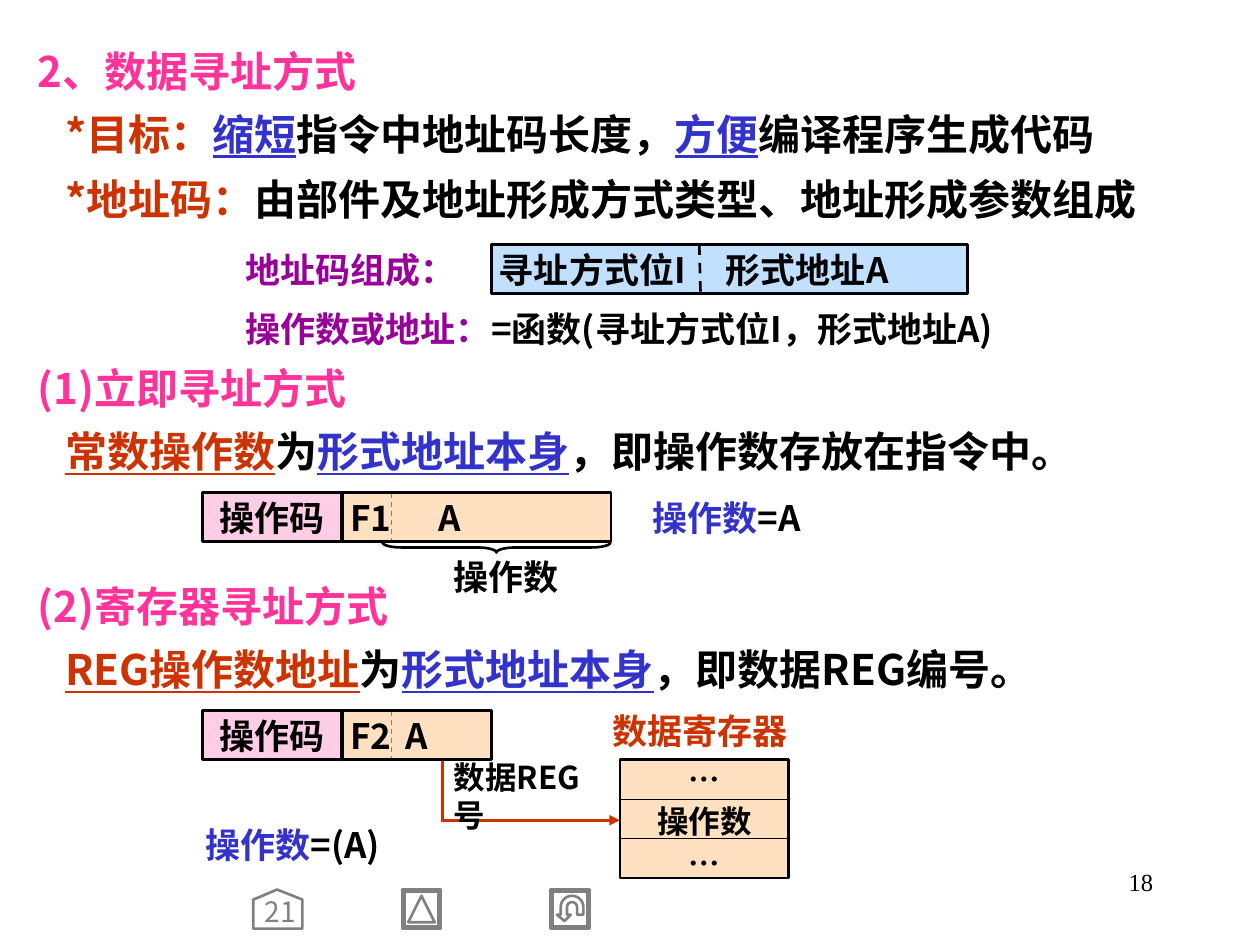
from dataclasses import dataclass
from math import cos, pi, sin

from lxml.etree import SubElement
from pptx import Presentation
from pptx.dml.color import RGBColor
from pptx.enum.dml import MSO_LINE
from pptx.enum.shapes import MSO_CONNECTOR, MSO_SHAPE as Preset
from pptx.enum.text import MSO_ANCHOR as Anchor, PP_ALIGN as Align
from pptx.oxml.ns import qn
from pptx.util import Inches, Pt


@dataclass(frozen=True)
class Theme:
    font: str = "Noto Sans CJK SC"
    number_font: str = "Times New Roman"
    black: str = "000000"
    heading: str = "FF3399"
    accent: str = "CC3300"
    key: str = "3333CC"
    label: str = "990099"
    icon: str = "808080"
    opcode: str = "FF99CC"
    operand: str = "FFCC99"
    address: str = "99CCFF"
    body: int = 24
    diagram: int = 20
    small: int = 18
    home: int = 16
    number: int = 14
    thick: float = 1.5
    thin: float = 0.75


THEME = Theme()
BODY_INSETS = (0.1, 0.05, 0.1, 0.05)
TIGHT_INSETS = (0.02, 0.01, 0.02, 0.01)
FIELD_INSETS = (0.06, 0.01, 0.02, 0.01)
ROW_HEIGHT = 0.39


def lengths(*values):
    return [Inches(value) for value in values]


def write_text(shape, paragraphs, size=THEME.diagram, color=THEME.black, bold=True,
               font=THEME.font, align=Align.LEFT, anchor=Anchor.MIDDLE,
               insets=TIGHT_INSETS, spacing=1.0, indents=(), tab=None):
    frame = shape.text_frame
    frame.word_wrap = True
    frame.vertical_anchor = anchor
    (frame.margin_left, frame.margin_top,
     frame.margin_right, frame.margin_bottom) = lengths(*insets)
    for index, runs in enumerate(paragraphs):
        paragraph = frame.add_paragraph() if index else frame.paragraphs[0]
        paragraph.alignment = align
        paragraph.line_spacing = spacing
        properties = paragraph._p.get_or_add_pPr()
        if indents:
            properties.set("marL", str(Inches(indents[index])))
            properties.set("indent", "0")
        if tab:
            stops = SubElement(properties, qn("a:tabLst"))
            SubElement(stops, qn("a:tab"), pos=str(Inches(tab)), algn="l")
        for text, *style in [(runs,)] if isinstance(runs, str) else runs:
            run = paragraph.add_run()
            run.text = text
            run.font.name = font
            run.font.size = Pt(size)
            run.font.bold = bold
            run.font.underline = len(style) > 1
            run.font.color.rgb = RGBColor.from_string(style[0] if style else color)
            SubElement(run._r.get_or_add_rPr(), qn("a:ea"), typeface=font)


def add_label(slide, box, paragraphs, **text_format):
    write_text(slide.shapes.add_textbox(*lengths(*box)), paragraphs, **text_format)


def add_body(slide, top, height, paragraphs, indents):
    add_label(slide, (0.2, top, 9.61, height), paragraphs, size=THEME.body,
              anchor=Anchor.TOP, insets=BODY_INSETS, spacing=1.25, indents=indents)


def outline(shape, color):
    shape.shadow.inherit = False
    shape.fill.background()
    shape.line.color.rgb = RGBColor.from_string(color)
    shape.line.width = Pt(THEME.thick)


def add_preset(slide, preset, box, color=THEME.black):
    shape = slide.shapes.add_shape(preset, *lengths(*box))
    outline(shape, color)
    return shape


def add_field(slide, box, fill, opacity, paragraphs, **text_format):
    shape = add_preset(slide, Preset.RECTANGLE, box)
    shape.fill.solid()
    shape.fill.fore_color.rgb = RGBColor.from_string(fill)
    color = shape.fill._xPr.find(qn("a:solidFill"))[0]
    SubElement(color, qn("a:alpha"), val=str(opacity * 1000))
    write_text(shape, paragraphs, **text_format)


def add_line(slide, start, end, color=THEME.black, width=THEME.thin, dashed=False, arrow=False):
    line = slide.shapes.add_connector(MSO_CONNECTOR.STRAIGHT, *lengths(*start, *end))
    line.line.color.rgb = RGBColor.from_string(color)
    line.line.width = Pt(width)
    if dashed:
        line.line.dash_style = MSO_LINE.DASH
    if arrow:
        SubElement(line.line._get_or_add_ln(), qn("a:tailEnd"), type="triangle")
    SubElement(line._element.spPr, qn("a:effectLst"))


def add_outline(slide, points, color=THEME.icon):
    start, *rest = [lengths(*point) for point in points]
    builder = slide.shapes.build_freeform(*start)
    builder.add_line_segments(rest, close=True)
    outline(builder.convert_to_shape(), color)


def add_instruction(slide, top, width, text, tab):
    add_field(slide, (1.61, top, 1.1, ROW_HEIGHT), THEME.opcode, 49, ["操作码"],
              align=Align.CENTER)
    add_line(slide, (3.11, top), (3.11, top + ROW_HEIGHT), dashed=True)
    add_field(slide, (2.72, top, width, ROW_HEIGHT), THEME.operand, 60, [text],
              insets=FIELD_INSETS, tab=tab)


def add_result(slide, left, top, value):
    add_label(slide, (left, top, 1.5, ROW_HEIGHT), [[("操作数", THEME.key), (value,)]])


def add_registers(slide):
    left, right, top, height = 4.92, 6.26, 6.03, 0.94
    add_field(slide, (left, top, right - left, height), THEME.operand, 60,
              ["…", "操作数", "…"], size=THEME.small, align=Align.CENTER, spacing=1.1)
    add_label(slide, (4.78, 5.64, 1.55, 0.32), ["数据寄存器"],
              color=THEME.accent, align=Align.CENTER)
    for row in (1, 2):
        level = top + row * height / 3
        add_line(slide, (left, level), (right, level))
    add_line(slide, (3.51, top), (3.51, 6.51), THEME.accent, THEME.thick)
    add_line(slide, (3.5, 6.51), (left, 6.51), THEME.accent, THEME.thick, arrow=True)
    add_label(slide, (3.58, 6.12, 1.18, ROW_HEIGHT), ["数据REG号"], size=THEME.small)


def arch(radius, start, end, steps=12):
    angles = [start + (end - start) * step / steps for step in range(steps + 1)]
    return [(4.54 + radius * cos(angle), 7.2 - radius * sin(angle)) for angle in angles]


def add_navigation(slide):
    add_outline(slide, [(2.01, 7.37), (2.01, 7.14), (2.2, 7.06), (2.4, 7.14), (2.4, 7.37)])
    add_label(slide, (2.05, 7.14, 0.31, 0.24), ["21"], size=THEME.home, color=THEME.icon,
              bold=False, align=Align.CENTER, anchor=Anchor.TOP, insets=(0.04, 0, 0, 0),
              spacing=0.85)
    for left in (3.19, 4.37):
        button = add_preset(slide, Preset.BEVEL, (left, 7.06, 0.31, 0.31), THEME.icon)
        button.adjustments[0] = 0.06
    add_preset(slide, Preset.ISOSCELES_TRIANGLE, (3.24, 7.11, 0.21, 0.21), THEME.icon)
    add_outline(slide, [(4.63, 7.26), (4.58, 7.26), *arch(0.04, 0, pi),
                        (4.5, 7.26), (4.53, 7.26), (4.48, 7.31), (4.42, 7.26),
                        (4.45, 7.26), *arch(0.09, pi, 0)])


def main():
    presentation = Presentation()
    presentation.slide_width, presentation.slide_height = lengths(10, 7.5)
    slide = presentation.slides.add_slide(presentation.slide_layouts[6])
    accent, key, heading = THEME.accent, THEME.key, THEME.heading

    add_label(slide, (7.17, 6.83, 2.08, 0.5), ["18"], size=THEME.number, bold=False,
              font=THEME.number_font, align=Align.RIGHT, anchor=Anchor.TOP, insets=BODY_INSETS)
    add_body(slide, 0.21, 1.1, [
        [("2、数据寻址方式", heading)],
        [("*目标：", accent), ("缩短", key, True), ("指令中地址码长度，",),
         ("方便", key, True), ("编译程序生成代码",)]], (0, 0.22))
    add_body(slide, 1.23, 0.6, [
        [("*地址码：", accent), ("由部件及地址形成方式类型、地址形成参数组成",)]], (0.22,))
    for top, title, subject, ending in (
            (2.73, "(1)立即寻址方式", "常数操作数", "，即操作数存放在指令中。"),
            (4.46, "(2)寄存器寻址方式", "REG操作数地址", "，即数据REG编号。")):
        add_body(slide, top, 1.1, [
            [(title, heading)],
            [(subject, accent, True), ("为",), ("形式地址本身", key, True), (ending,)]],
            (0, 0.22))

    add_registers(slide)
    add_instruction(slide, 5.64, 1.18, "F2\tA", 0.44)
    add_result(slide, 1.61, 6.51, "=(A)")

    add_field(slide, (3.9, 1.94, 3.78, ROW_HEIGHT), THEME.address, 60,
              ["寻址方式位I\t形式地址A"], insets=FIELD_INSETS, tab=1.8)
    add_label(slide, (1.93, 1.94, 1.73, ROW_HEIGHT), ["地址码组成："], color=THEME.label)
    add_label(slide, (1.93, 2.41, 6.53, ROW_HEIGHT), [
        [("操作数或地址：", THEME.label), ("=函数(寻址方式位I，形式地址A)",)]])
    add_line(slide, (5.55, 1.94), (5.56, 2.33), width=THEME.thick, dashed=True)

    add_instruction(slide, 3.91, 2.13, "F1\tA", 0.7)
    add_result(slide, 5.16, 3.91, "=A")
    brace = add_preset(slide, Preset.RIGHT_BRACE, (3.9, 3.44, 0.08, 1.81))
    brace.rotation = 90
    brace.adjustments[0] = 1.88
    add_label(slide, (3.58, 4.38, 0.94, ROW_HEIGHT), ["操作数"])

    add_navigation(slide)
    presentation.save("out.pptx")


if __name__ == "__main__":
    main()
